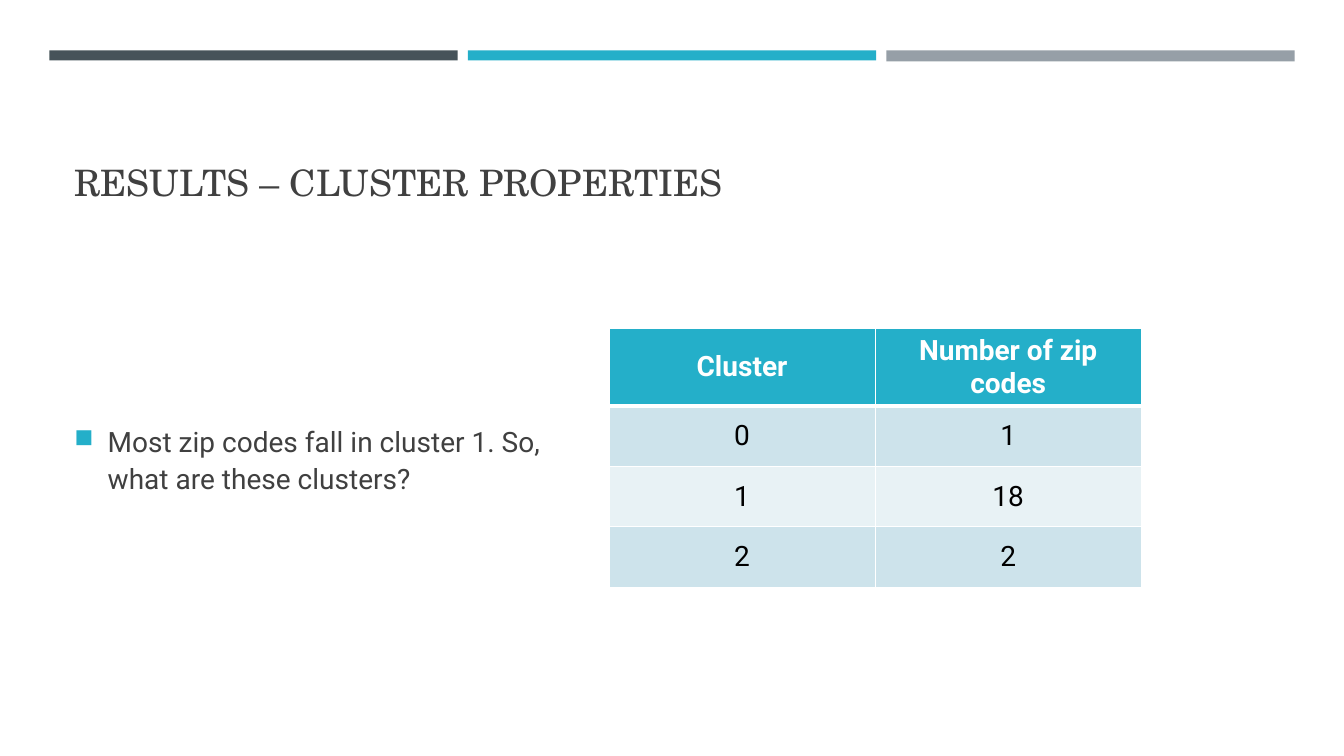
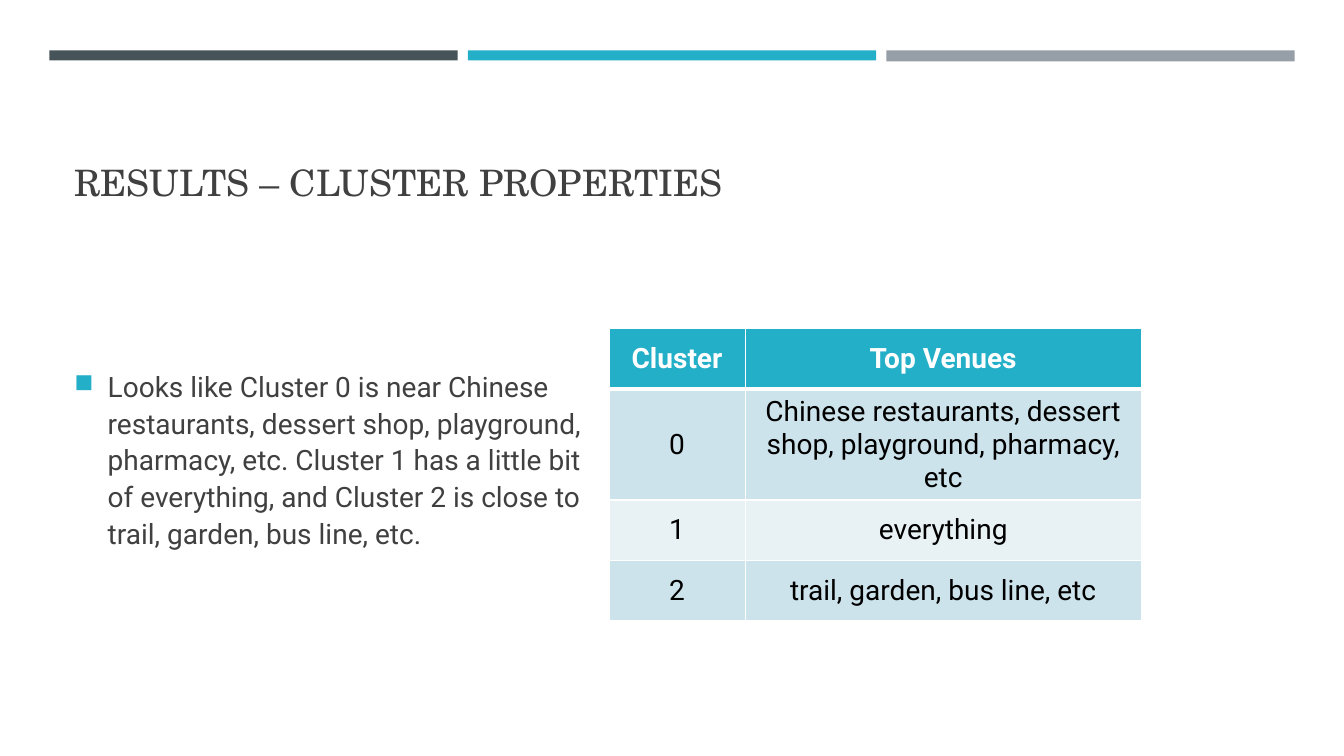
from lxml import etree
from pptx import Presentation
from pptx.dml.color import RGBColor
from pptx.enum.shapes import MSO_SHAPE
from pptx.enum.text import MSO_ANCHOR, PP_ALIGN
from pptx.oxml.ns import qn
from pptx.util import Emu, Pt

# Content
TITLE = "RESULTS – CLUSTER PROPERTIES"
SLIDES = [
    {
        "bullet": "Most zip codes fall in cluster 1. So, what are these clusters?",
        "cols": [264, 264],
        "rows": [("Cluster", "Number of zip codes"),
                 ("0", "1"), ("1", "18"), ("2", "2")],
    },
    {
        "bullet": "Looks like Cluster 0 is near Chinese restaurants, dessert shop, "
                  "playground, pharmacy, etc. Cluster 1 has a little bit of "
                  "everything, and Cluster 2 is close to trail, garden, bus line, etc.",
        "cols": [135, 393],
        "rows": [("Cluster", "Top Venues"),
                 ("0", "Chinese restaurants, dessert shop, playground, pharmacy, etc"),
                 ("1", "everything"),
                 ("2", "trail, garden, bus line, etc")],
    },
]

# Shared style
SERIF, SANS = "TeX Gyre Schola", "Roboto"
INK, ACCENT, WHITE, BLACK = "404040", "24AFC9", "FFFFFF", "000000"
BANDS = [("465359", 10), (ACCENT, 10), ("969FA7", 11)]  # colour, height
BAND_LEFT, BAND_TOP, BAND_W, BAND_GAP = 49, 50, 405, 10
TITLE_BOX = (64, 77, 1206, 130)
BODY_BOX = (64, 256, 541, 397)
TABLE_LEFT, TABLE_TOP, ROW_H = 604, 326, 60
ROW_FILLS = ["CDE3EB", "E8F2F5"]


def px(n):
    return Emu(n * 9144)  # 100 px to the inch


def rgb(value):
    return RGBColor.from_string(value)


def write(tf, text, *, font=SANS, size=20, color=INK, bold=False,
          align=PP_ALIGN.LEFT):
    tf.word_wrap = True
    p = tf.paragraphs[0]
    p.alignment = align
    r = p.add_run()
    r.text = text
    f = r.font
    f.name, f.size, f.bold = font, Pt(size), bold
    f.color.rgb = rgb(color)
    return p


def add_text(s, box, text, anchor, **style):
    tf = s.shapes.add_textbox(*map(px, box)).text_frame
    tf.vertical_anchor = anchor
    return write(tf, text, **style)


def add_bullet(p):
    pPr = p._p.get_or_add_pPr()
    pPr.set("marL", str(px(33)))
    pPr.set("indent", str(-px(33)))
    color = etree.SubElement(pPr, qn("a:buClr"))
    etree.SubElement(color, qn("a:srgbClr"), val=ACCENT)
    etree.SubElement(pPr, qn("a:buSzPct"), val="92000")
    etree.SubElement(pPr, qn("a:buChar"), char="■")


def add_borders(cell, **widths):
    tcPr = cell._tc.get_or_add_tcPr()
    for side in "LRTB":
        ln = etree.SubElement(tcPr, qn("a:ln" + side),
                              w=str(Pt(widths.get(side, 1))))
        fill = etree.SubElement(ln, qn("a:solidFill"))
        etree.SubElement(fill, qn("a:srgbClr"), val=WHITE)


def add_frame(s):
    for i, (color, height) in enumerate(BANDS):
        left = BAND_LEFT + i * (BAND_W + BAND_GAP)
        sp = s.shapes.add_shape(MSO_SHAPE.RECTANGLE, px(left), px(BAND_TOP),
                                px(BAND_W), px(height))
        sp.shadow.inherit = False
        sp.fill.solid()
        sp.fill.fore_color.rgb = rgb(color)
        sp.line.fill.background()
    add_text(s, TITLE_BOX, TITLE, MSO_ANCHOR.BOTTOM, font=SERIF, size=26)


def add_cluster_table(s, cols, rows):
    table = s.shapes.add_table(len(rows), len(cols), px(TABLE_LEFT), px(TABLE_TOP),
                               px(sum(cols)), px(ROW_H * len(rows))).table
    for column, width in zip(table.columns, cols):
        column.width = px(width)
    for i, row in enumerate(rows):
        table.rows[i].height = px(ROW_H)
        header = i == 0
        for j, text in enumerate(row):
            cell = table.cell(i, j)
            cell.vertical_anchor = MSO_ANCHOR.MIDDLE
            # The thick rule lies between the header and the first row
            add_borders(cell, B=3 if header else 1, T=3 if i == 1 else 1)
            cell.fill.solid()
            cell.fill.fore_color.rgb = rgb(ACCENT if header else ROW_FILLS[(i - 1) % 2])
            write(cell.text_frame, text, color=WHITE if header else BLACK,
                  bold=header, align=PP_ALIGN.CENTER)


def main():
    prs = Presentation()
    prs.slide_width, prs.slide_height = px(1333), px(750)
    for content in SLIDES:
        s = prs.slides.add_slide(prs.slide_layouts[6])
        add_frame(s)
        p = add_text(s, BODY_BOX, content["bullet"], MSO_ANCHOR.MIDDLE)
        p.line_spacing = 1.1
        p.space_after = Pt(6)
        add_bullet(p)
        add_cluster_table(s, content["cols"], content["rows"])
    prs.save("out.pptx")


if __name__ == "__main__":
    main()
